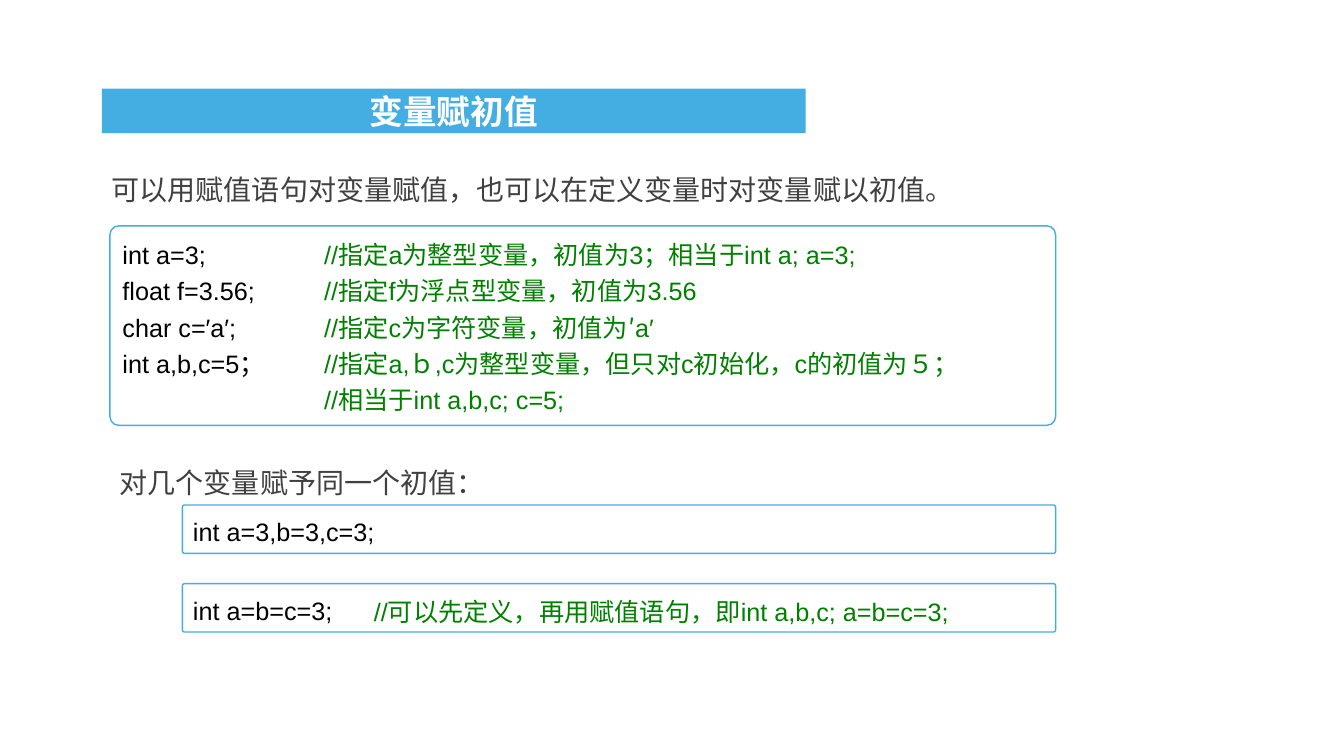
from pptx import Presentation
from pptx.dml.color import RGBColor
from pptx.enum import shapes, text
from pptx.oxml.ns import qn
from pptx.util import Inches, Pt
from lxml import etree

COLORS = {"blue": "44ADE1", "white": "FFFFFF", "body": "404040",
          "code": "000000", "comment": "008000"}
CJK_FONT = "Noto Sans CJK SC"

# Content: code boxes hold lines of (code, comment)
TITLE = "变量赋初值"
STATEMENTS = [
    ("可以用赋值语句对变量赋值，也可以在定义变量时对变量赋以初值。", (1.01, 1.5, 10.45, 0.55)),
    ("对几个变量赋予同一个初值：", (1.09, 4.4, 5.04, 0.61)),
]
DEFINITIONS = [
    ("int a=3;", "//指定a为整型变量，初值为3；相当于int a; a=3;"),
    ("float f=3.56;", "//指定f为浮点型变量，初值为3.56"),
    ("char c=′a′;", "//指定c为字符变量，初值为′a′"),
    ("int a,b,c=5；", "//指定a,ｂ,c为整型变量，但只对c初始化，c的初值为５；"),
    ("", "//相当于int a,b,c; c=5;"),
]
CODE_BOXES = [
    (DEFINITIONS, (1.09, 2.24, 9.38, 1.98)),
    ([("int a=3,b=3,c=3;", "")], (1.81, 5.01, 8.66, 0.48)),
    ([("int a=b=c=3;", "")], (1.81, 5.79, 8.66, 0.48)),
]
SIDE_COMMENT = ("//可以先定义，再用赋值语句，即int a,b,c; a=b=c=3;", (3.61, 5.87, 6.67, 0.4))
COMMENT_TAB = 2.0


def color(name):
    return RGBColor.from_string(COLORS[name])


def add_words(paragraph, words, size, ink, font="Arial", bold=False):
    run = paragraph.add_run()
    run.text = words
    formats = {"size": Pt(size), "name": font, "bold": bold}
    for key, value in formats.items():
        setattr(run.font, key, value)
    run.font.color.rgb = color(ink)
    east_asian = etree.SubElement(run._r.get_or_add_rPr(), qn("a:ea"))
    east_asian.set("typeface", CJK_FONT)


def add_comment_tab(paragraph):
    tabs = etree.SubElement(paragraph._p.get_or_add_pPr(), qn("a:tabLst"))
    stop = etree.SubElement(tabs, qn("a:tab"))
    stop.set("pos", str(Inches(COMMENT_TAB)))
    stop.set("algn", "l")


def add_statement(slide, words, place, size, ink, spacing):
    statement = slide.shapes.add_textbox(*map(Inches, place))
    statement.text_frame.word_wrap = True
    paragraph = statement.text_frame.paragraphs[0]
    paragraph.line_spacing = spacing
    add_words(paragraph, words, size, ink)


def add_code_box(slide, lines, place):
    box = slide.shapes.add_shape(shapes.MSO_SHAPE.ROUNDED_RECTANGLE, *map(Inches, place))
    box.adjustments[0] = 0.045
    box.shadow.inherit = False
    box.fill.solid()
    box.fill.fore_color.rgb = color("white")
    box.line.color.rgb = color("blue")
    box.line.width = Pt(1)
    frame = box.text_frame
    frame.word_wrap = True
    frame.vertical_anchor = text.MSO_ANCHOR.TOP
    for index, (code, comment) in enumerate(lines):
        paragraph = frame.add_paragraph() if index else frame.paragraphs[0]
        paragraph.alignment = text.PP_ALIGN.JUSTIFY
        paragraph.line_spacing = 1.2
        if comment:
            add_comment_tab(paragraph)
        if code:
            add_words(paragraph, code, 18, "code")
        if comment:
            add_words(paragraph, "\t" + comment, 18, "comment")


def add_title(slide):
    title = slide.shapes.title
    place = {"left": 1.01, "top": 0.88, "width": 6.98, "height": 0.44}
    for key, value in place.items():
        setattr(title, key, Inches(value))
    title.fill.solid()
    title.fill.fore_color.rgb = color("blue")
    frame = title.text_frame
    formats = {"margin_left": 0, "margin_top": 0, "margin_right": 0, "margin_bottom": 0,
               "vertical_anchor": text.MSO_ANCHOR.MIDDLE,
               "auto_size": text.MSO_AUTO_SIZE.NONE}
    for key, value in formats.items():
        setattr(frame, key, value)
    paragraph = frame.paragraphs[0]
    paragraph.alignment = text.PP_ALIGN.CENTER
    add_words(paragraph, TITLE, 24, "white", CJK_FONT, True)


def main():
    deck = Presentation()
    deck.slide_width, deck.slide_height = Inches(13.33), Inches(7.5)
    slide = deck.slides.add_slide(deck.slide_layouts.get_by_name("Title Only"))

    add_title(slide)
    for words, place in STATEMENTS:
        add_statement(slide, words, place, 20, "body", 1.5)
    for lines, place in CODE_BOXES:
        add_code_box(slide, lines, place)
    # The comment lies over the last code box
    add_statement(slide, *SIDE_COMMENT, 18, "comment", 1.0)

    deck.save("out.pptx")


if __name__ == "__main__":
    main()
